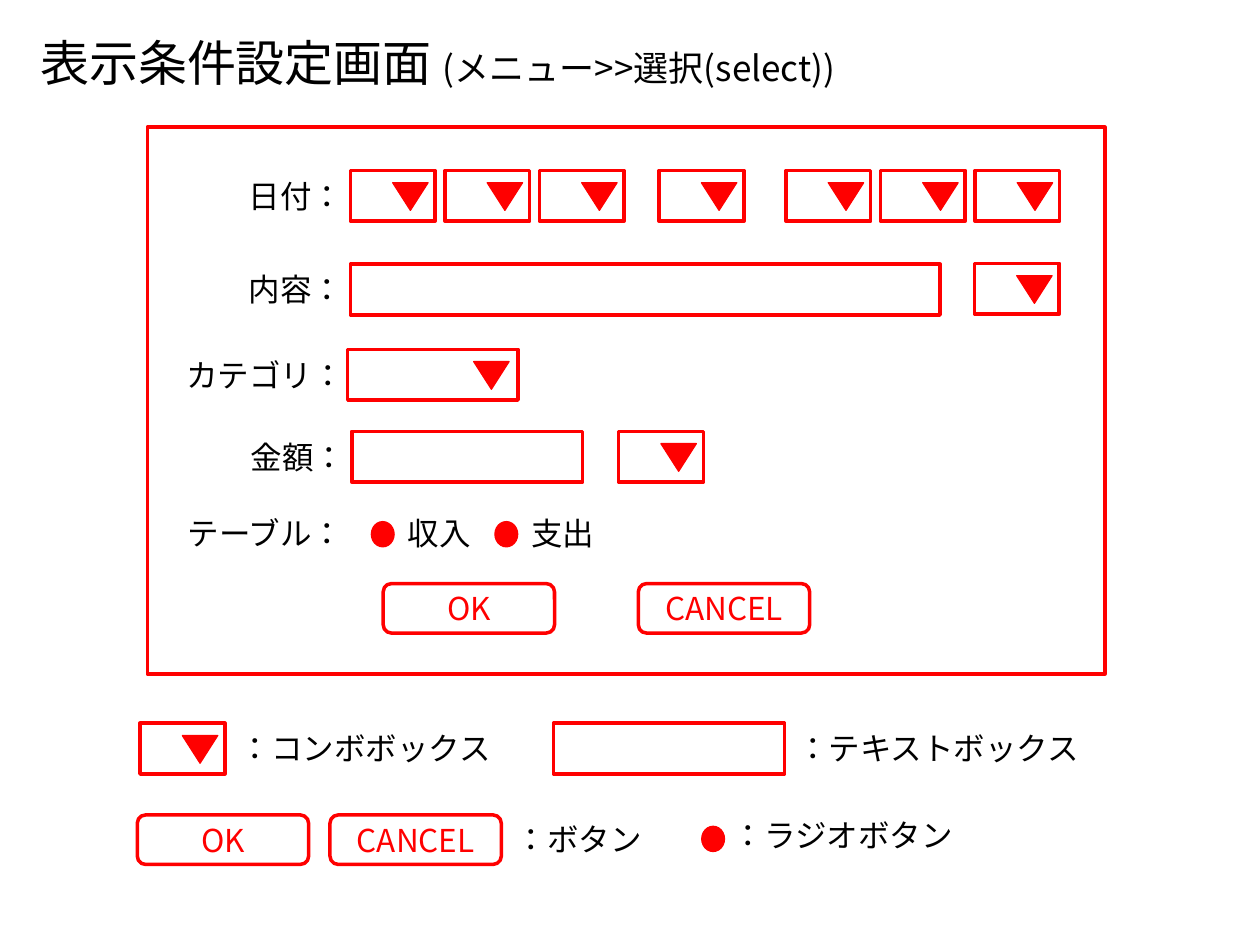
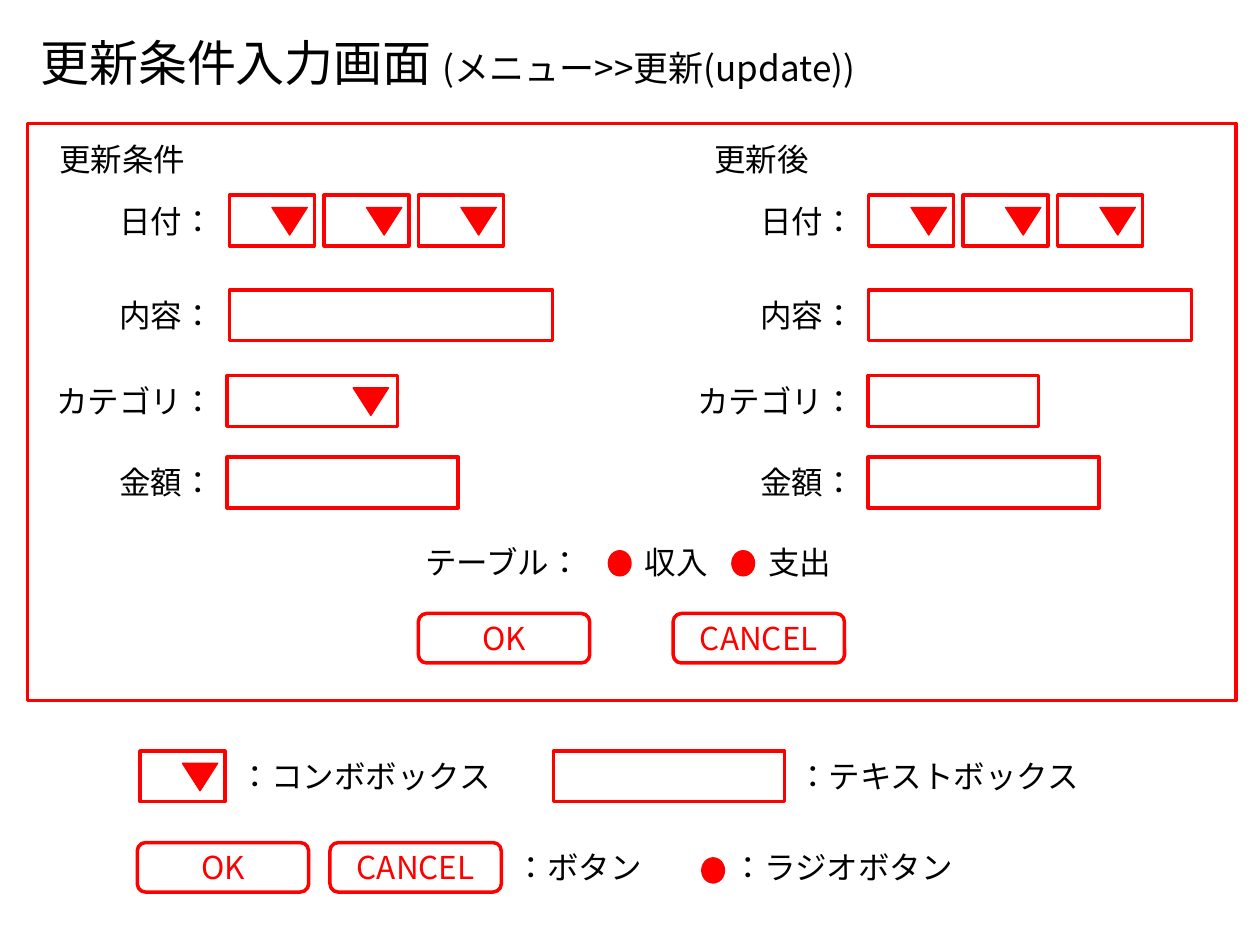
from pptx import Presentation
from pptx.dml.color import RGBColor
from pptx.enum.lang import MSO_LANGUAGE_ID
from pptx.enum.shapes import MSO_SHAPE
from pptx.enum.text import MSO_ANCHOR, MSO_AUTO_SIZE, PP_ALIGN
from pptx.oxml.ns import qn
from pptx.util import Pt
from lxml.etree import SubElement

COLORS = {"text": "000000", "control": "FF0000"}
FONT = "Noto Sans CJK JP"
TITLE_BOX = (15.8, 14.8, 660, 41)
ROW_HEIGHT = 29
COMBO_WIDTH = 48.5
FIELD_WIDTH = 132
DATE_STEP = 54
BUTTON_SIZE = (97.9, 28.3)
RADIO_STEP = 70.6


def draw(page, kind, left, top, width, height, filled=False):
    """Add a red preset shape, either outlined or solid."""
    shape = page.shapes.add_shape(kind, Pt(left), Pt(top), Pt(width), Pt(height))
    shape.shadow.inherit = False
    red = RGBColor.from_string(COLORS["control"])
    shape.line.color.rgb = red
    shape.line.width = Pt(0.75 if filled else 2)
    if filled:
        shape.fill.solid()
        shape.fill.fore_color.rgb = red
    else:
        shape.fill.background()
    return shape


def write(shape, text, size=18, color="text", align=PP_ALIGN.LEFT,
          anchor=MSO_ANCHOR.TOP, wrap=False):
    """Append a formatted Japanese span to the first paragraph of a shape."""
    frame = shape.text_frame
    frame.word_wrap = wrap
    frame.vertical_anchor = anchor
    frame.auto_size = MSO_AUTO_SIZE.NONE if wrap else MSO_AUTO_SIZE.SHAPE_TO_FIT_TEXT
    para = frame.paragraphs[0]
    para.alignment = align
    span = para.add_run()
    span.text = text
    span.font.size = Pt(size)
    span.font.name = FONT
    span.font.language_id = MSO_LANGUAGE_ID.JAPANESE
    span.font.color.rgb = RGBColor.from_string(COLORS[color])
    SubElement(span.font._element, qn("a:ea")).set("typeface", FONT)


# Labels are (text, left, top); right-aligned form labels are (text, right edge, top).
# Combos are (left, top, width); fields are (left, top, width).
select_page = {
    "title": ("表示条件設定画面 ", "(メニュー>>選択(select))"),
    "frame": (84.2, 72.7, 547.2, 312.5),
    "headings": [],
    "form_labels": [("日付：", 203.8, 97.4), ("内容：", 203.8, 151),
                    ("カテゴリ：", 204, 199.7), ("金額：", 204.8, 246.5),
                    ("テーブル：", 204.8, 290.2)],
    "combos": [(start + DATE_STEP * i, 97.4, COMBO_WIDTH)
               for start, count in ((200.2, 3), (376.6, 1), (449.1, 3))
               for i in range(count)]
              + [(556.8, 150.5, COMBO_WIDTH), (198.7, 199.6, 97.4),
                 (353.5, 246.5, COMBO_WIDTH)],
    "fields": [(200.2, 151, 337), (201, 246.5, FIELD_WIDTH)],
    "radios": (212.2, 290.4),
    "buttons": [(219, 333.5), (364.8, 333.5)],
    "legend_top": 413.3,
    "legend_radio_top": 463,
}
update_page = {
    "title": ("更新条件入力画面 ", "(メニュー>>更新(update))"),
    "frame": (15.8, 70.6, 690.5, 329.8),
    "headings": [("更新条件", 26.8, 76.3), ("更新後", 401, 76.3)],
    "form_labels": [(text, right, top) for right in (129.6, 496)
                    for text, top in (("日付：", 112.1), ("内容：", 165.6),
                                      ("カテゴリ：", 214.6), ("金額：", 261.2))]
                   + [("テーブル：", 340.4, 306.7)],
    "combos": [(start + DATE_STEP * i, 111.5, COMBO_WIDTH)
               for start in (131.2, 496.4) for i in range(3)]
              + [(129.8, 214.6, 97.4)],
    "fields": [(131.2, 165.6, 184.5), (496.3, 165.6, 184.5), (496.1, 214.6, 97.4),
               (129.8, 261.2, FIELD_WIDTH), (496.1, 261.2, FIELD_WIDTH)],
    "radios": (347.6, 307),
    "buttons": [(239.1, 350.6), (384.7, 350.6)],
    "legend_top": 429.1,
    "legend_radio_top": 481,
}

deck = Presentation()
deck.slide_width, deck.slide_height = Pt(720), Pt(540)

for form in (select_page, update_page):
    page = deck.slides.add_slide(deck.slide_layouts[5])
    title = page.shapes.title
    title.left, title.top, title.width, title.height = map(Pt, TITLE_BOX)
    for text, size in zip(form["title"], (28, 20)):
        write(title, text, size=size)

    draw(page, MSO_SHAPE.RECTANGLE, *form["frame"])

    # The legend under the form uses the same controls as the form itself
    legend_top = form["legend_top"]
    button_top = legend_top + 52.4
    radio_top = form["legend_radio_top"]
    radio_left, radio_row = form["radios"]
    choices = [(text, radio_left + RADIO_STEP * i, radio_row)
               for i, text in enumerate(("収入", "支出"))]

    for left, top, width in form["combos"] + [(80, legend_top, COMBO_WIDTH)]:
        draw(page, MSO_SHAPE.RECTANGLE, left, top, width, ROW_HEIGHT)
        arrow_inset = 24.3 if width == COMBO_WIDTH else 25.4
        arrow = draw(page, MSO_SHAPE.ISOSCELES_TRIANGLE, left + width - arrow_inset,
                     top + 7, 20.2, 15.8, filled=True)
        arrow.rotation = 180

    for left, top, width in form["fields"] + [(316.3, legend_top, FIELD_WIDTH)]:
        draw(page, MSO_SHAPE.RECTANGLE, left, top, width, ROW_HEIGHT)

    legend_buttons = [(78.5, button_top), (188.6, button_top)]
    for pair in (form["buttons"], legend_buttons):
        for text, (left, top) in zip(("OK", "CANCEL"), pair):
            button = draw(page, MSO_SHAPE.ROUNDED_RECTANGLE, left, top, *BUTTON_SIZE)
            write(button, text, color="control", align=PP_ALIGN.CENTER,
                  anchor=MSO_ANCHOR.MIDDLE, wrap=True)

    dots = [(left, top + 7.7) for _, left, top in choices]
    for left, top in dots + [(401, radio_top + 9.2)]:
        draw(page, MSO_SHAPE.OVAL, left, top, 13, 14.4, filled=True)

    labels = form["headings"] + [(text, left + 13.7, top) for text, left, top in choices]
    labels += [(text, right - 18 * len(text) - 14.6, top)
               for text, right, top in form["form_labels"]]
    labels += [("：コンボボックス", 129.8, legend_top),
               ("：テキストボックス", 448.6, legend_top),
               ("：ボタン", 287.5, button_top - 0.5),
               ("：ラジオボタン", 411.8, radio_top)]
    for text, left, top in labels:
        box = page.shapes.add_textbox(Pt(left), Pt(top), Pt(18 * len(text) + 14.6),
                                      Pt(ROW_HEIGHT))
        write(box, text)

deck.save("out.pptx")
